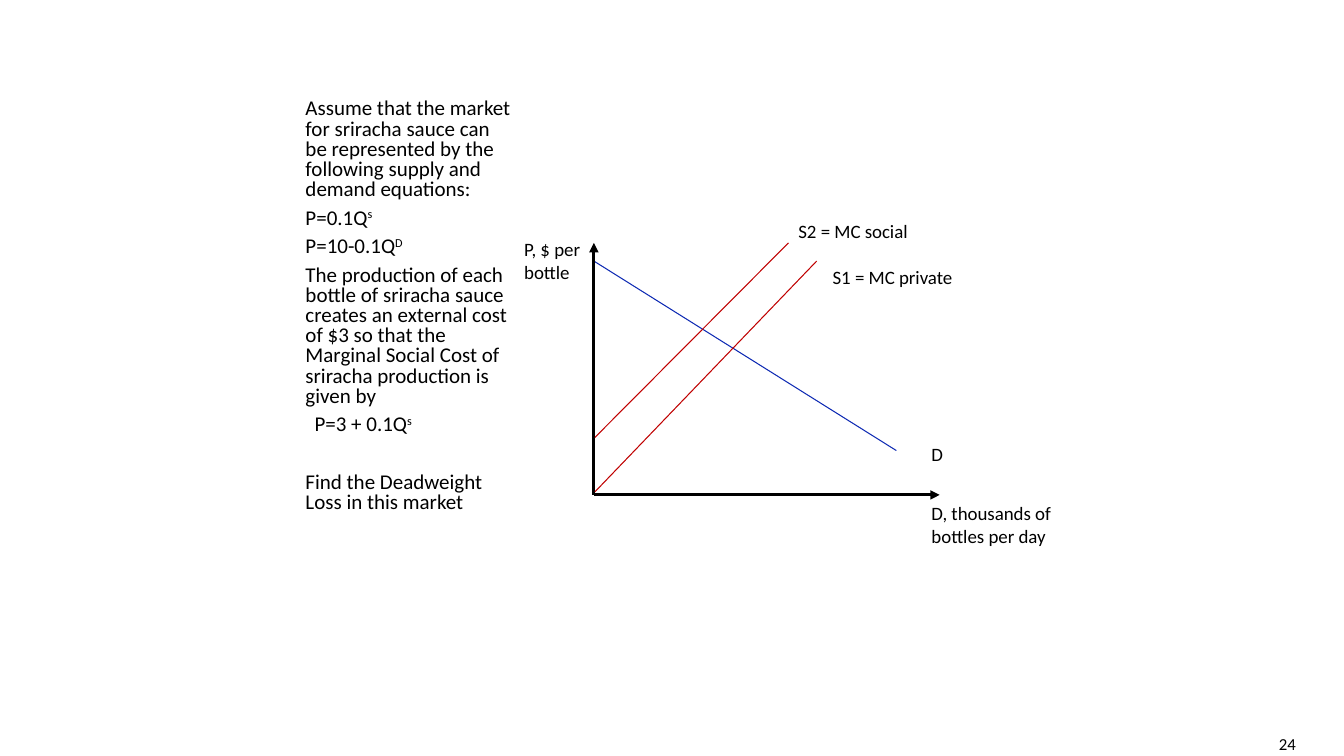
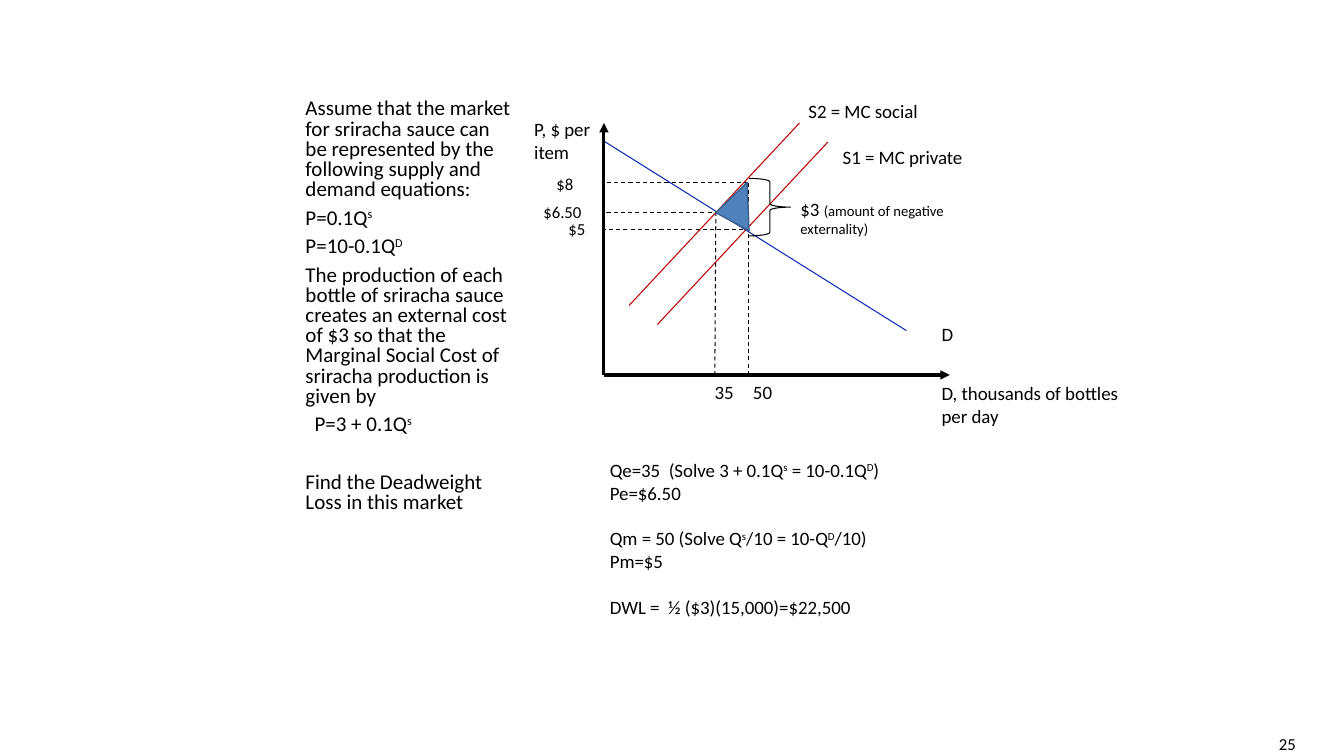
"""Two slides on the deadweight loss of a negative externality."""
from lxml import etree
from pptx import Presentation
from pptx.dml.color import RGBColor
from pptx.enum.dml import MSO_LINE
from pptx.enum.shapes import MSO_CONNECTOR, MSO_SHAPE
from pptx.enum.text import MSO_ANCHOR, MSO_AUTO_SIZE, PP_ALIGN
from pptx.oxml.ns import qn
from pptx.util import Inches, Pt

STRAIGHT, BRACE = MSO_CONNECTOR.STRAIGHT, MSO_SHAPE.RIGHT_BRACE
DASH, MIDDLE, RIGHT = MSO_LINE.DASH, MSO_ANCHOR.MIDDLE, PP_ALIGN.RIGHT
NO_FIT = MSO_AUTO_SIZE.NONE
BLACK, DEMAND, SUPPLY = "000000", "0D29B3", "C00000"
LOSS_FILL, LOSS_EDGE = "4F81BD", "3A5F8C"
FONT, LABEL, SMALL = "Calibri", 13.5, 12
colour = RGBColor.from_string


def write(frame, texts, size):
    """Fill a frame with one paragraph per text; ^...^ marks a superscript."""
    frame.word_wrap = True
    for row, text in enumerate(texts):
        paragraph = frame.paragraphs[0] if row == 0 else frame.add_paragraph()
        for part, words in enumerate(text.split("^")):
            if words:
                run = paragraph.add_run()
                run.text = words
                run.font.size, run.font.name = Pt(size), FONT
                run.font.color.rgb = colour(BLACK)
                if part % 2:
                    run.font._element.set("baseline", "30000")
    return frame.paragraphs


def draw(slide, ends, stroke, width=0.75, dashed=False, arrow=False):
    """Draw a straight line between two points given in inches."""
    line = slide.shapes.add_connector(STRAIGHT, *map(Inches, ends))
    line.line.color.rgb, line.line.width = colour(stroke), Pt(width)
    if dashed:
        line.line.dash_style = DASH
    if arrow:
        etree.SubElement(line.line._get_or_add_ln(), qn("a:tailEnd"), type="triangle")
    etree.SubElement(line._element.spPr, qn("a:effectLst"))


problem = [
    "Assume that the market for sriracha sauce can be represented by the following "
    "supply and demand equations:",
    "P=0.1Q^s^",
    "P=10-0.1Q^D^",
    "The production of each bottle of sriracha sauce creates an external cost of $3 "
    "so that the Marginal Social Cost of sriracha production is given by",
    "P=3 + 0.1Q^s^",
    "Find the Deadweight Loss in this market",
]
graphs = [
    {"number": "24", "origin": (5.89, 4.91), "good": "bottle", "quantity_width": 1.61,
     "supply": [(5.9, 4.34, 7.82, 2.41), (5.9, 4.88, 8.1, 2.59)]},
    {"number": "25", "origin": (5.99, 3.72), "good": "item", "quantity_width": 2.09,
     "supply": [(6.24, 3.03, 7.93, 1.22), (6.52, 3.22, 8.21, 1.41)]},
]

deck = Presentation()
deck.slide_width, deck.slide_height = Inches(13.33), Inches(7.5)

for graph in graphs:
    slide = deck.slides.add_slide(deck.slide_layouts[1])
    title = slide.shapes.title._element
    title.getparent().remove(title)

    body = slide.placeholders[1]
    body.left, body.top, body.width, body.height = map(Inches, (2.93, 0.94, 2.28, 4.62))
    body.text_frame.auto_size = NO_FIT
    lines = write(body.text_frame, problem, 15)
    for line in lines:
        line.line_spacing, line.space_before = 0.8, Pt(6)
        layout = line._p.get_or_add_pPr()
        layout.set("marL", "0")
        layout.set("indent", "0")
        etree.SubElement(layout, qn("a:buNone"))
    lines[4]._p.pPr.set("marL", str(Inches(0.09)))
    lines[5].space_before = Pt(27)

    page = slide.shapes.add_textbox(*map(Inches, (12.23, 7.25, 0.72, 0.25))).text_frame
    page.vertical_anchor = MIDDLE
    write(page, [graph["number"]], SMALL)[0].alignment = RIGHT

    x, y = graph["origin"]
    draw(slide, (x, y - 2.32, x + 3, y - 0.44), DEMAND)
    for axis_end in [(x, y - 2.5), (x + 3.43, y)]:
        draw(slide, (x, y, *axis_end), BLACK, 2.25, arrow=True)
    for ends in graph["supply"]:
        draw(slide, ends, SUPPLY)
    for text, dx, dy, width in [
        ("S1 = MC private", 2.27, -2.32, 1.6),
        ("S2 = MC social", 1.93, -2.78, 1.5),
        ("D", 3.25, -0.57, 0.5),
        ("D, thousands of bottles per day", 3.25, 0.02, graph["quantity_width"]),
        ("P, $ per " + graph["good"], -0.79, -2.6, 0.82),
    ]:
        box = slide.shapes.add_textbox(*map(Inches, (x + dx, y + dy, width, 0.33)))
        write(box.text_frame, [text], LABEL)

for guide in [
    (7.42, 1.81, x, 1.81),
    (7.37, 2.28, x, 2.28),
    (7.13, 2.11, x, 2.11),
    (7.09, y, 7.1, 2.09),
    (7.42, y, 7.42, 1.81),
]:
    draw(slide, guide, BLACK, dashed=True)

for text, left, top, width, size in [
    ("$8", 5.42, 1.67, 0.53, SMALL),
    ("$6.50", 5.29, 1.95, 0.83, SMALL),
    ("$5", 5.54, 2.12, 0.53, SMALL),
    ("35", 6.99, 3.73, 0.5, LABEL),
    ("50", 7.37, 3.73, 0.5, LABEL),
]:
    box = slide.shapes.add_textbox(*map(Inches, (left, top, width, 0.3)))
    write(box.text_frame, [text], size)

solution = slide.shapes.add_textbox(*map(Inches, (5.95, 4.5, 3.29, 1.69)))
steps = write(solution.text_frame, [
    "Qe=35  (Solve 3 + 0.1Q^s^ = 10-0.1Q^D^)",
    "Pe=$6.50",
    "Qm = 50 (Solve Q^s^/10 = 10-Q^D^/10)",
    "Pm=$5",
    "DWL =  ½ ($3)(15,000)=$22,500",
], LABEL)
for step in steps[2::2]:
    step.space_before = Pt(16.5)

brace = slide.shapes.add_shape(BRACE, *map(Inches, (7.43, 1.77, 0.41, 0.57)))
brace.shadow.inherit = False
brace.fill.background()
brace.line.color.rgb, brace.line.width = colour(BLACK), Pt(0.75)

externality = slide.shapes.add_textbox(*map(Inches, (7.84, 1.91, 2.19, 0.5)))
amount = write(externality.text_frame, ["$3 ^^(amount of negative externality)"], LABEL)[0]
amount.runs[1].font.size = Pt(10.5)

corners = [(Inches(cx), Inches(cy)) for cx, cy in [(7.41, 1.81), (7.43, 2.29), (7.1, 2.11)]]
outline = slide.shapes.build_freeform(*corners[0])
outline.add_line_segments(corners[1:], close=True)
loss = outline.convert_to_shape()
loss.shadow.inherit = False
loss.fill.solid()
loss.fill.fore_color.rgb = colour(LOSS_FILL)
loss.line.color.rgb, loss.line.width = colour(LOSS_EDGE), Pt(1)

deck.save("out.pptx")
